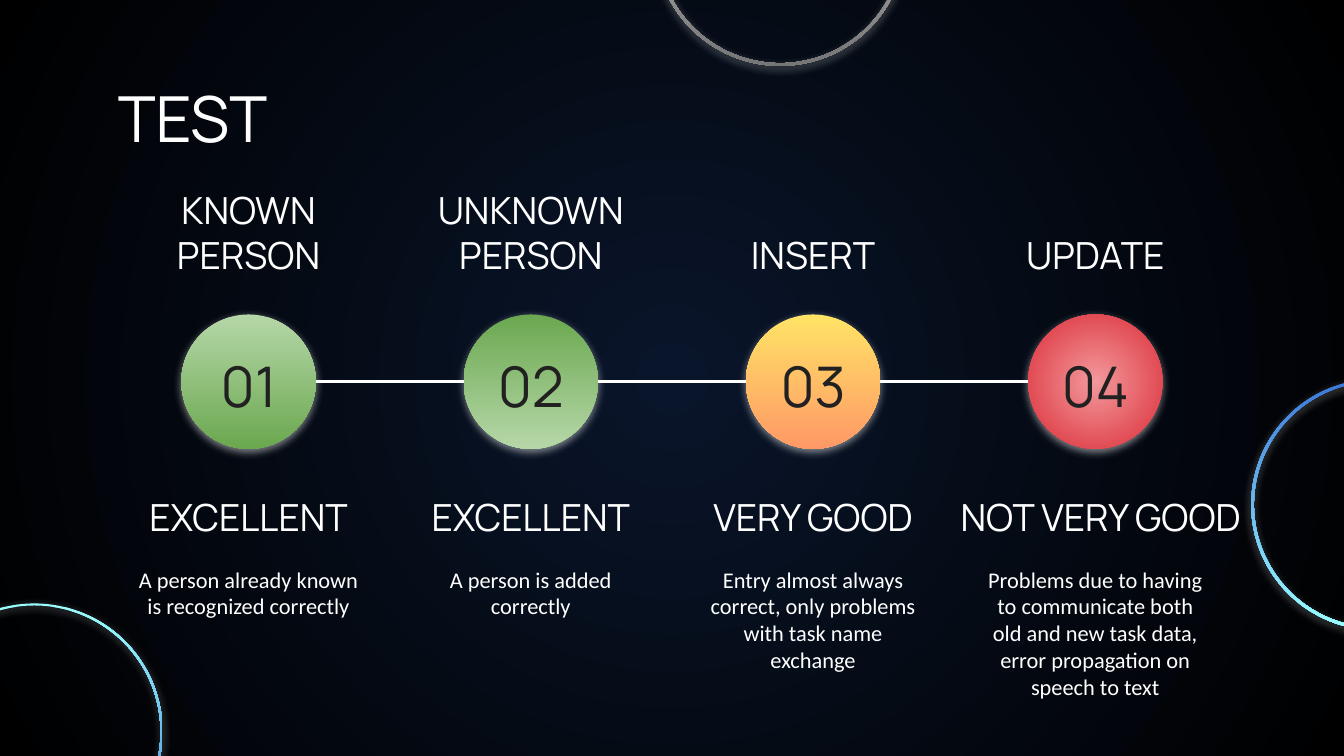
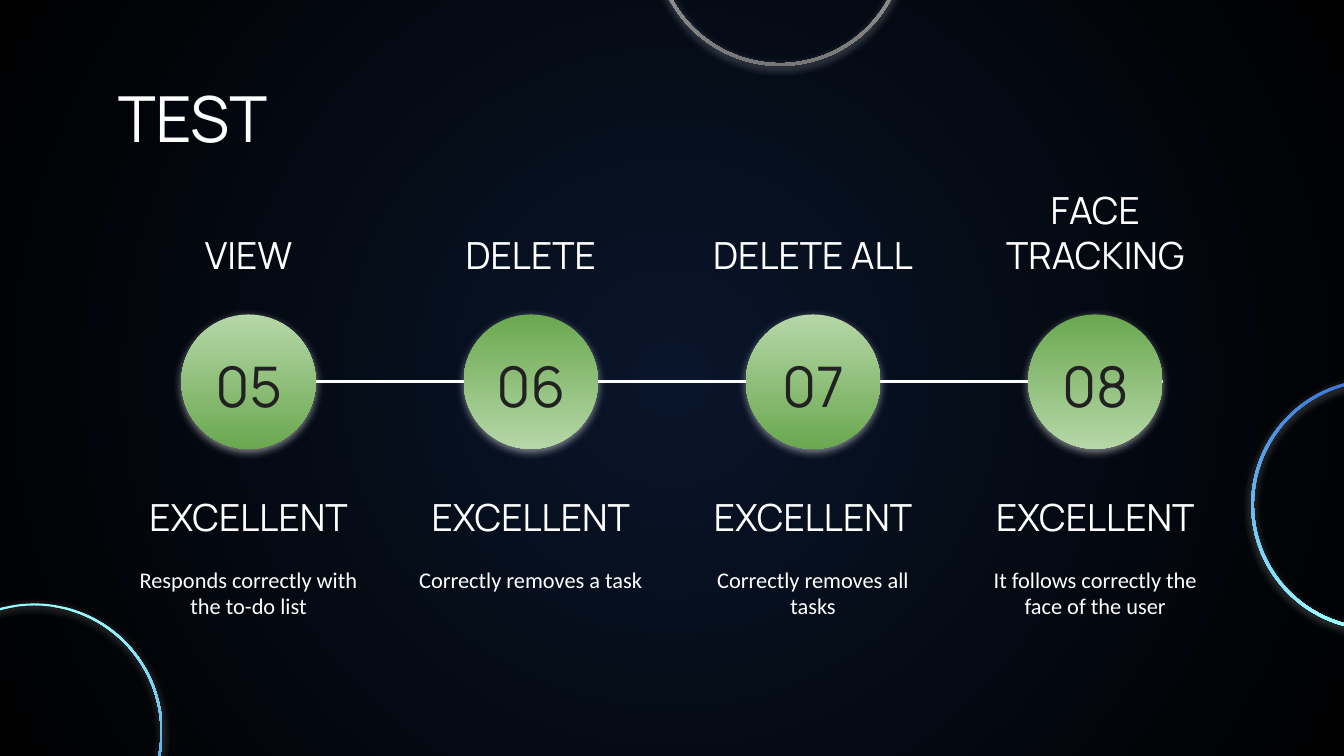
import pptx
import pptx.util
import pptx.dml.color
import pptx.enum.shapes
import pptx.enum.text
import pptx.oxml
import pptx.oxml.ns

Inches = pptx.util.Inches
SHAPE = pptx.enum.shapes.MSO_SHAPE
ANCHOR = pptx.enum.text.MSO_ANCHOR
ALIGN = pptx.enum.text.PP_ALIGN
NS = pptx.oxml.ns.nsdecls("a")


class Theme:
    white, ink = "FFFFFF", "212121"
    night = ("09152A", "000000")
    light_green, deep_green = "B6D7A8", "6AA84F"
    rising, falling = (light_green, deep_green), (deep_green, light_green)
    amber, red = ("FFE366", "FF9966"), ("F2999D", "DB2C35")
    head_font, body_font = "Manrope", "Calibri"
    title_size, number_size, head_size, body_size = 34, 30, 20, 12
    line_width = 1.5


# left, top, diameter, ring thickness, colours from top to bottom
RINGS = [
    (-0.7, 4.49, 1.91, 0.008, ("9CFFFF", "3C78D8")),
    (4.87, -1.38, 1.87, 0.011, ("CCCCCC", "767676")),
    (9.31, 2.82, 1.87, 0.011, ("3C78D8", "9CFFFF")),
]

LEFT, RIGHT = -0.5, 0.5  # sides of a circle, in diameters from its centre

# Steps: number, task, rating, remark, circle colours.
# Links: (column, side) where each line starts and ends.
SLIDES = [
    {
        "title": "TEST",
        "steps": [
            ("01", "KNOWN PERSON", "EXCELLENT",
             "A person already known is recognized correctly", Theme.rising),
            ("02", "UNKNOWN PERSON", "EXCELLENT",
             "A person is added correctly", Theme.falling),
            ("03", "INSERT", "VERY GOOD",
             "Entry almost always correct, only problems with task name exchange",
             Theme.amber),
            ("04", "UPDATE", "NOT VERY GOOD",
             "Problems due to having to communicate both old and new task data, "
             "error propagation on speech to text", Theme.red),
        ],
        "links": [((0, RIGHT), (1, RIGHT)), ((1, LEFT), (2, LEFT)),
                  ((2, RIGHT), (3, LEFT))],
    },
    {
        "title": "TEST",
        "steps": [
            ("05", "VIEW", "EXCELLENT",
             "Responds correctly with the to-do list", Theme.rising),
            ("06", "DELETE", "EXCELLENT",
             "Correctly removes a task", Theme.falling),
            ("07", "DELETE ALL", "EXCELLENT",
             "Correctly removes all tasks", Theme.rising),
            ("08", "FACE TRACKING", "EXCELLENT",
             "It follows correctly the face of the user", Theme.falling),
        ],
        "links": [((0, RIGHT), (1, LEFT)), ((1, RIGHT), (2, LEFT)),
                  ((2, RIGHT), (3, RIGHT))],
    },
]

WIDTH, HEIGHT = 10, 5.625
FIRST_CENTRE, PITCH, COLUMN = 1.85, 2.1, 1.9
DIAMETER, AXIS = 1, 2.84
TASK_TOP, RATING_TOP, REMARK_TOP = 1.63, 3.58, 4.11
HEAD_HEIGHT, REMARK_HEIGHT = 0.53, 0.63
LONG_RATING, LONG_WIDTH, LONG_SHIFT = 10, 2.48, 0.04


def centre(column):
    return FIRST_CENTRE + column * PITCH


def rgb(value):
    return pptx.dml.color.RGBColor.from_string(value)


def paint(fill, owner, colours, radial=False):
    """Fill with two colours, top to bottom or from the centre outwards."""
    fill.gradient()
    fill.gradient_angle = 270
    for stop, colour, position in zip(fill.gradient_stops, colours, (0, 1)):
        stop.color.rgb = rgb(colour)
        stop.position = position
    if radial:
        lin = next(owner.iter(pptx.oxml.ns.qn("a:lin")))
        lin.getparent().replace(lin, pptx.oxml.parse_xml(
            f'<a:path {NS} path="circle"><a:fillToRect l="50000" t="50000" '
            'r="50000" b="50000"/></a:path>'))


def add_round(slide, kind, left, top, size, colours, radial=False):
    """A round gradient shape with a soft white glow below it."""
    s = slide.shapes.add_shape(
        kind, Inches(left), Inches(top), Inches(size), Inches(size))
    paint(s.fill, s.element, colours, radial)
    s.line.fill.background()
    s.shadow.inherit = False
    effects = s.element.spPr.find(pptx.oxml.ns.qn("a:effectLst"))
    effects.append(pptx.oxml.parse_xml(
        f'<a:outerShdw {NS} blurRad="{pptx.util.Pt(4.5)}" '
        f'dist="{pptx.util.Pt(1.5)}" dir="5400000" algn="bl" rotWithShape="0">'
        f'<a:srgbClr val="{Theme.white}"><a:alpha val="50000"/></a:srgbClr>'
        '</a:outerShdw>'))
    return s


def add_text(slide, text, left, top, width, height, size, font=Theme.head_font,
             colour=Theme.white, anchor=ANCHOR.TOP, align=ALIGN.CENTER):
    s = slide.shapes.add_textbox(
        Inches(left), Inches(top), Inches(width), Inches(height))
    tf = s.text_frame
    tf.word_wrap = True
    tf.vertical_anchor = anchor
    tf.margin_left = tf.margin_right = Inches(0.1)
    tf.margin_top = tf.margin_bottom = Inches(0.1)
    tf.text = text
    p = tf.paragraphs[0]
    p.alignment = align
    r = p.runs[0]
    r.font.name, r.font.size = font, pptx.util.Pt(size)
    r.font.color.rgb = rgb(colour)


def add_link(slide, start, end):
    x1, x2 = (centre(column) + side * DIAMETER for column, side in (start, end))
    s = slide.shapes.add_connector(
        pptx.enum.shapes.MSO_CONNECTOR.STRAIGHT,
        Inches(x1), Inches(AXIS), Inches(x2), Inches(AXIS))
    s.line.color.rgb = rgb(Theme.white)
    s.line.width = pptx.util.Pt(Theme.line_width)
    s.element.spPr.append(pptx.oxml.parse_xml(f"<a:effectLst {NS}/>"))


def add_step(slide, column, number, task, rating, remark, colours):
    x = centre(column)
    left = x - COLUMN / 2
    add_text(slide, task, left, TASK_TOP, COLUMN, HEAD_HEIGHT,
             Theme.head_size, anchor=ANCHOR.BOTTOM)
    add_round(slide, SHAPE.OVAL, x - DIAMETER / 2, AXIS - DIAMETER / 2,
              DIAMETER, colours, radial=colours == Theme.red)
    add_text(slide, number, x - 0.36, 2.53, 0.72, 0.67, Theme.number_size,
             colour=Theme.ink, anchor=ANCHOR.MIDDLE)
    if len(rating) > LONG_RATING:
        add_text(slide, rating, x + LONG_SHIFT - LONG_WIDTH / 2, RATING_TOP,
                 LONG_WIDTH, HEAD_HEIGHT, Theme.head_size)
    else:
        add_text(slide, rating, left, RATING_TOP, COLUMN, HEAD_HEIGHT,
                 Theme.head_size, anchor=ANCHOR.BOTTOM)
    add_text(slide, remark, left, REMARK_TOP, COLUMN, REMARK_HEIGHT,
             Theme.body_size, font=Theme.body_font)


def add_slide(prs, title, steps, links):
    slide = prs.slides.add_slide(prs.slide_layouts[6])
    paint(slide.background.fill, slide.element, Theme.night, radial=True)
    for left, top, size, thickness, colours in RINGS:
        ring = add_round(slide, SHAPE.DONUT, left, top, size, colours)
        ring.adjustments[0] = thickness
    add_text(slide, title, 0.78, 0.49, 8.44, 0.63, Theme.title_size,
             align=ALIGN.LEFT)
    for start, end in links:
        add_link(slide, start, end)
    for column, step in enumerate(steps):
        add_step(slide, column, *step)


def main():
    prs = pptx.Presentation()
    prs.slide_width, prs.slide_height = Inches(WIDTH), Inches(HEIGHT)
    for content in SLIDES:
        add_slide(prs, **content)
    prs.save("out.pptx")


if __name__ == "__main__":
    main()
